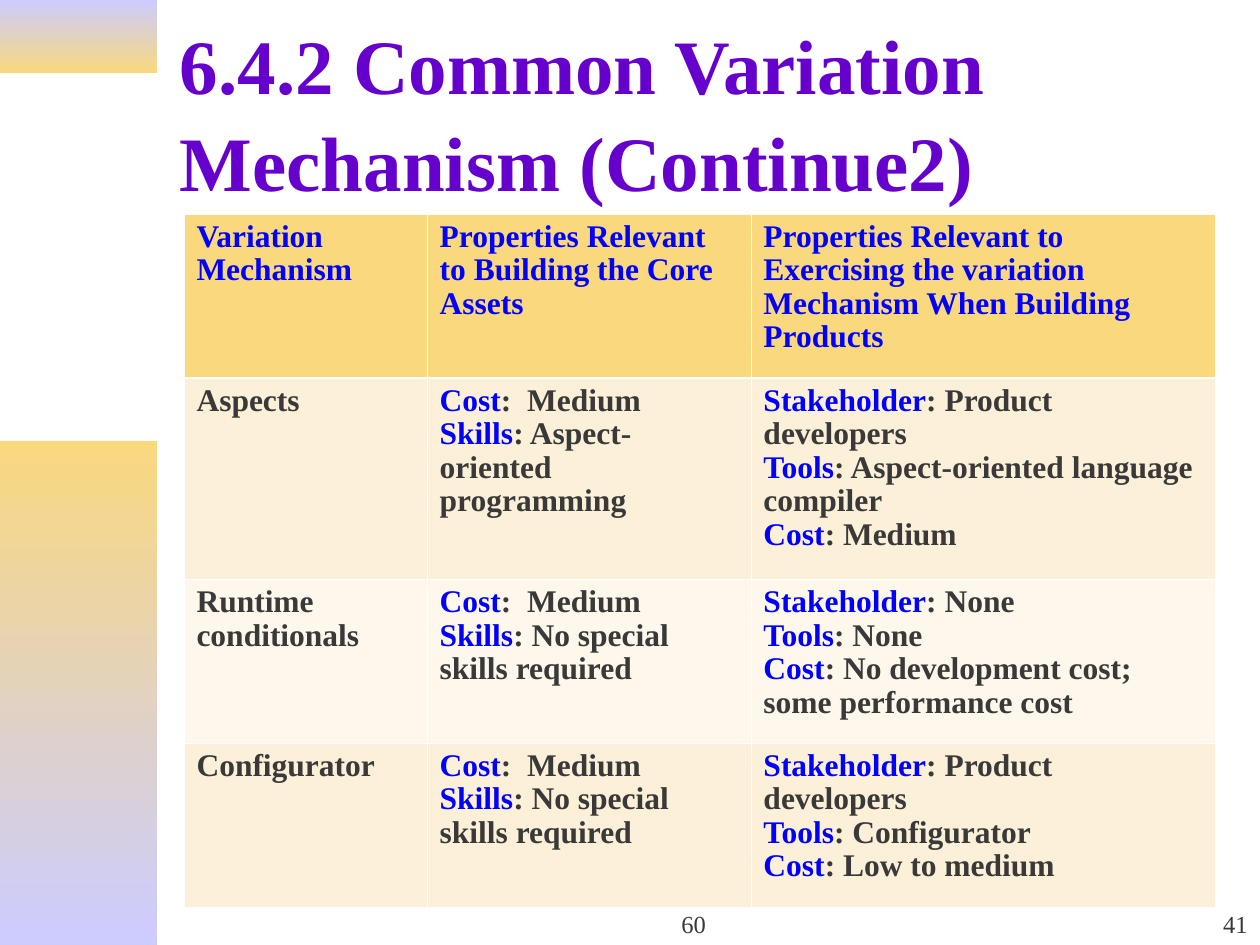
from pptx import Presentation, util as u
from pptx.dml.color import RGBColor
from pptx.enum import shapes, text
from lxml import etree

deck = Presentation()
deck.slide_width, deck.slide_height = u.Inches(10), u.Inches(7.5)
W, H = deck.slide_width, deck.slide_height
page = deck.slides.add_slide(deck.slide_layouts[6])
NS = "http://schemas.openxmlformats.org/drawingml/2006/main"
GOLD, LILAC, BLUE, GREY = "F9D87E", "CCCCFF", "0000FF", "393939"


def tint(code):
    return RGBColor.from_string(code)


def write(frame, words, size=18, bold=True, color=GREY, key=BLUE,
          align=text.PP_ALIGN.LEFT, anchor=text.MSO_ANCHOR.TOP, pitch=None):
    frame.word_wrap = True
    frame.vertical_anchor = anchor
    for i, line in enumerate(words.split("\n")):
        para = frame.paragraphs[0] if i == 0 else frame.add_paragraph()
        para.alignment = align
        para.line_spacing = pitch
        head, colon, tail = line.partition(":")
        parts = [(head, key), (colon + tail, color)] if colon else [(line, color)]
        for part, shade in parts:
            run = para.add_run()
            run.text = part
            run.font.name = "Times New Roman"
            run.font.size = u.Pt(size)
            run.font.bold = bold
            run.font.color.rgb = tint(shade)


for top, tall, first, last in [(0, 0.58, LILAC, GOLD), (3.5, 4, GOLD, LILAC)]:
    band = page.shapes.add_shape(shapes.MSO_SHAPE.RECTANGLE, 0, int(H * top / 7.5),
                                 int(W / 8), int(H * tall / 7.5))
    band.shadow.inherit = False
    band.line.fill.background()
    band.fill.gradient()
    band.fill.gradient_angle = 270
    for stop, shade in zip(band.fill.gradient_stops, (first, last)):
        stop.color.rgb = tint(shade)

title = page.shapes.add_textbox(int(W * 0.133), int(H * 0.028), int(W * 0.85), int(H * 0.176))
write(title.text_frame, "6.4.2 Common Variation Mechanism (Continue2)", size=44,
      color="6600CC", anchor=text.MSO_ANCHOR.MIDDLE, pitch=1.05)

rows = [
    ("Variation Mechanism", "Properties Relevant to Building the Core Assets",
     "Properties Relevant to Exercising the variation Mechanism When Building Products"),
    ("Aspects", "Cost:  Medium\nSkills: Aspect-oriented programming",
     "Stakeholder: Product developers\nTools: Aspect-oriented language compiler\nCost: Medium"),
    ("Runtime conditionals", "Cost:  Medium\nSkills: No special skills required",
     "Stakeholder: None\nTools: None\nCost: No development cost; some performance cost"),
    ("Configurator", "Cost:  Medium\nSkills: No special skills required",
     "Stakeholder: Product developers\nTools: Configurator\nCost: Low to medium"),
]
wide = [1.93, 2.57, 3.69]
tall = [1.3, 1.6, 1.3, 1.3]
fills = [GOLD, "FDF0D8", "FEF8EC", "FDF0D8"]
grid = page.shapes.add_table(len(rows), len(wide), int(W * 0.146), int(H * 1.7 / 7.5),
                             int(W * sum(wide) / 10), int(H * sum(tall) / 7.5)).table
for col, size in zip(grid.columns, wide):
    col.width = int(W * size / 10)
for row, size in zip(grid.rows, tall):
    row.height = int(H * size / 7.5)

for r, row in enumerate(rows):
    for c, words in enumerate(row):
        cell = grid.cell(r, c)
        write(cell.text_frame, words, color=BLUE if r == 0 else GREY, pitch=0.96)
        cell.fill.solid()
        cell.fill.fore_color.rgb = tint(fills[r])
        props = cell._tc.get_or_add_tcPr()
        for i, side in enumerate("LRTB"):
            thick = (r, side) in [(0, "B"), (1, "T")]
            edge = etree.Element(f"{{{NS}}}ln{side}", w=str(u.Pt(1.47 if thick else 0.45)))
            paint = etree.SubElement(edge, f"{{{NS}}}solidFill")
            etree.SubElement(paint, f"{{{NS}}}srgbClr", val="FFFFFF")
            props.insert(i, edge)

for words, left, size, align in [("60", 0.392, 0.317, text.PP_ALIGN.CENTER),
                                 ("41", 0.792, 0.208, text.PP_ALIGN.RIGHT)]:
    foot = page.shapes.add_textbox(int(W * left), int(H * 14 / 15), int(W * size), int(H / 15))
    write(foot.text_frame, words, size=14, bold=False, align=align,
          anchor=text.MSO_ANCHOR.BOTTOM)

deck.save("out.pptx")
